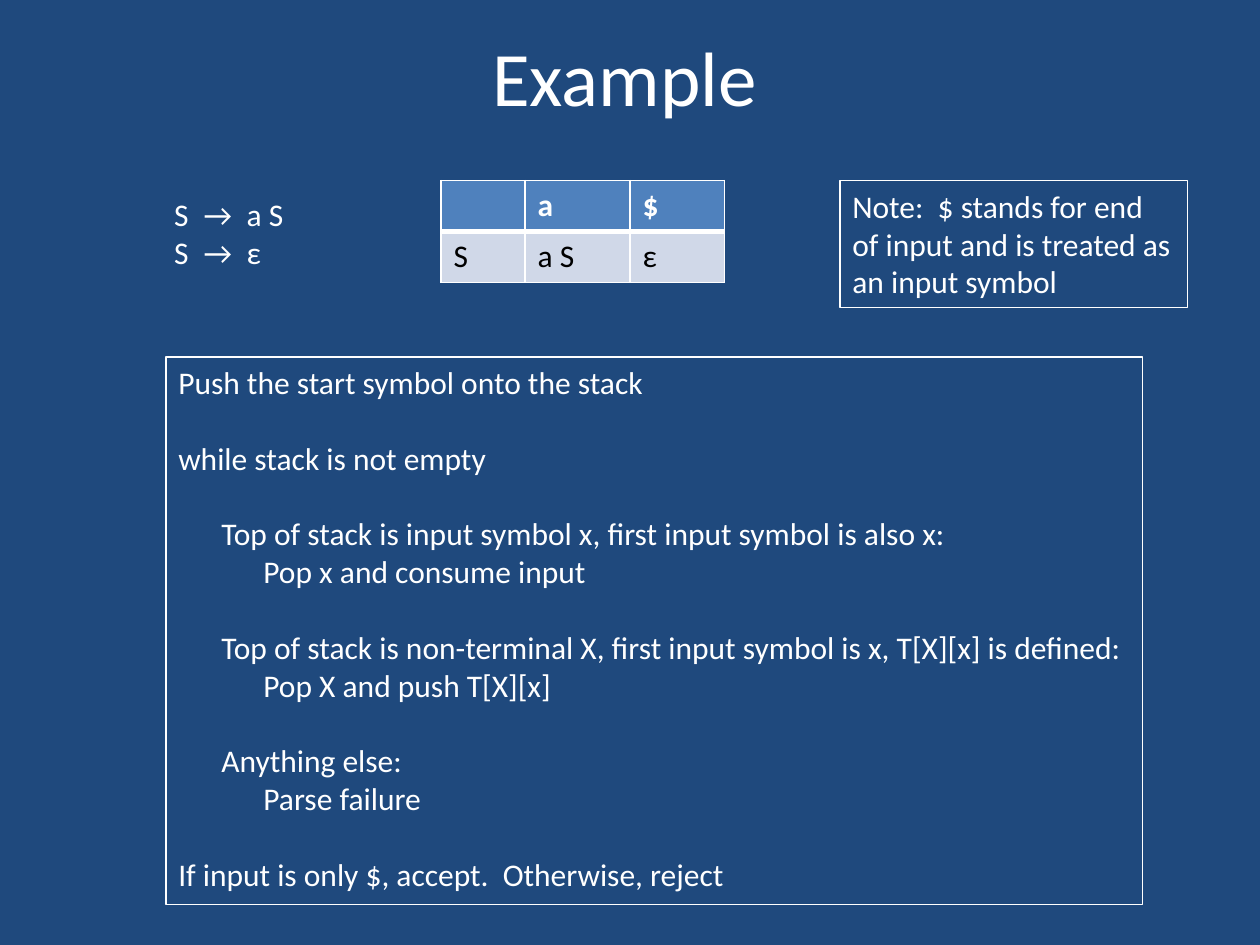
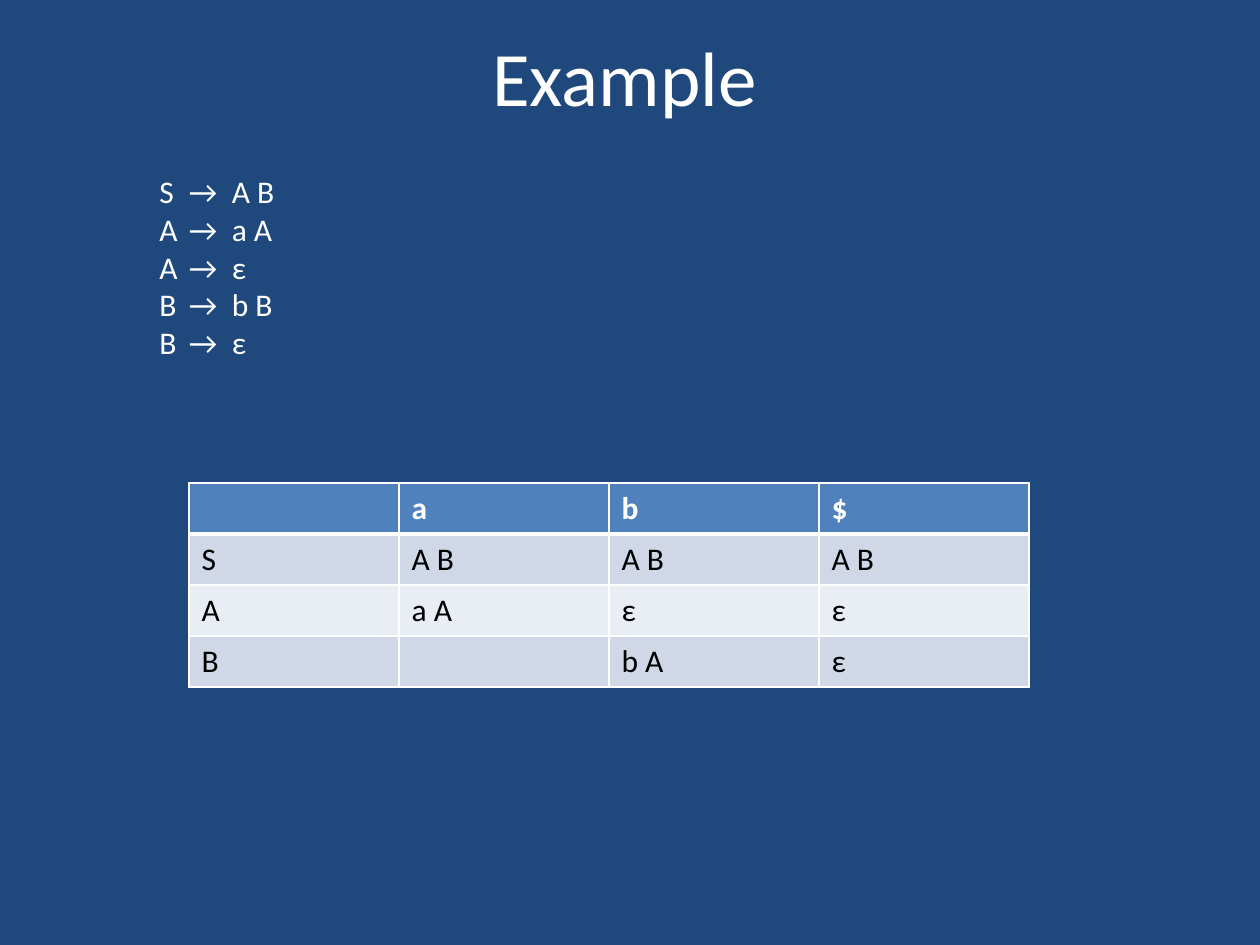
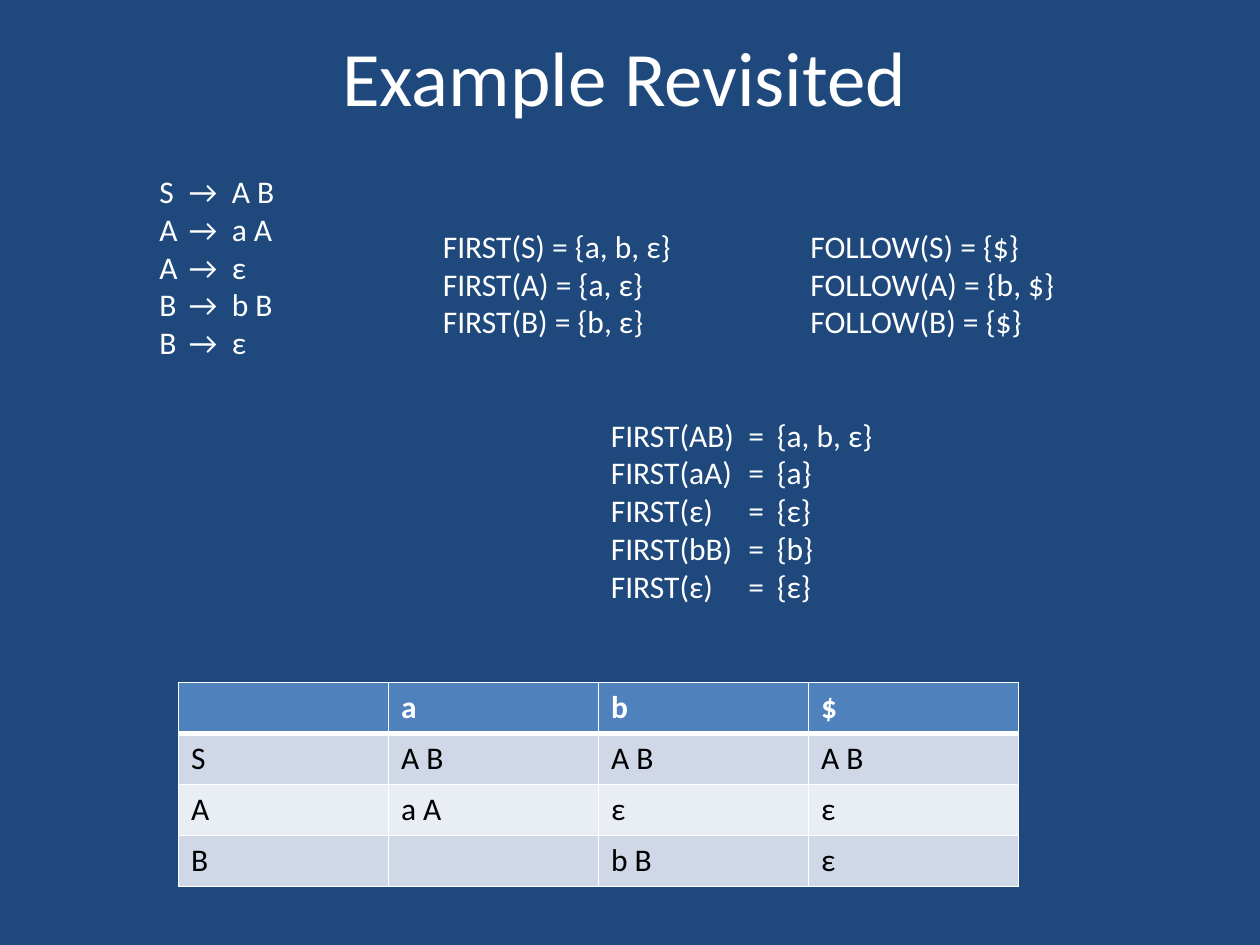
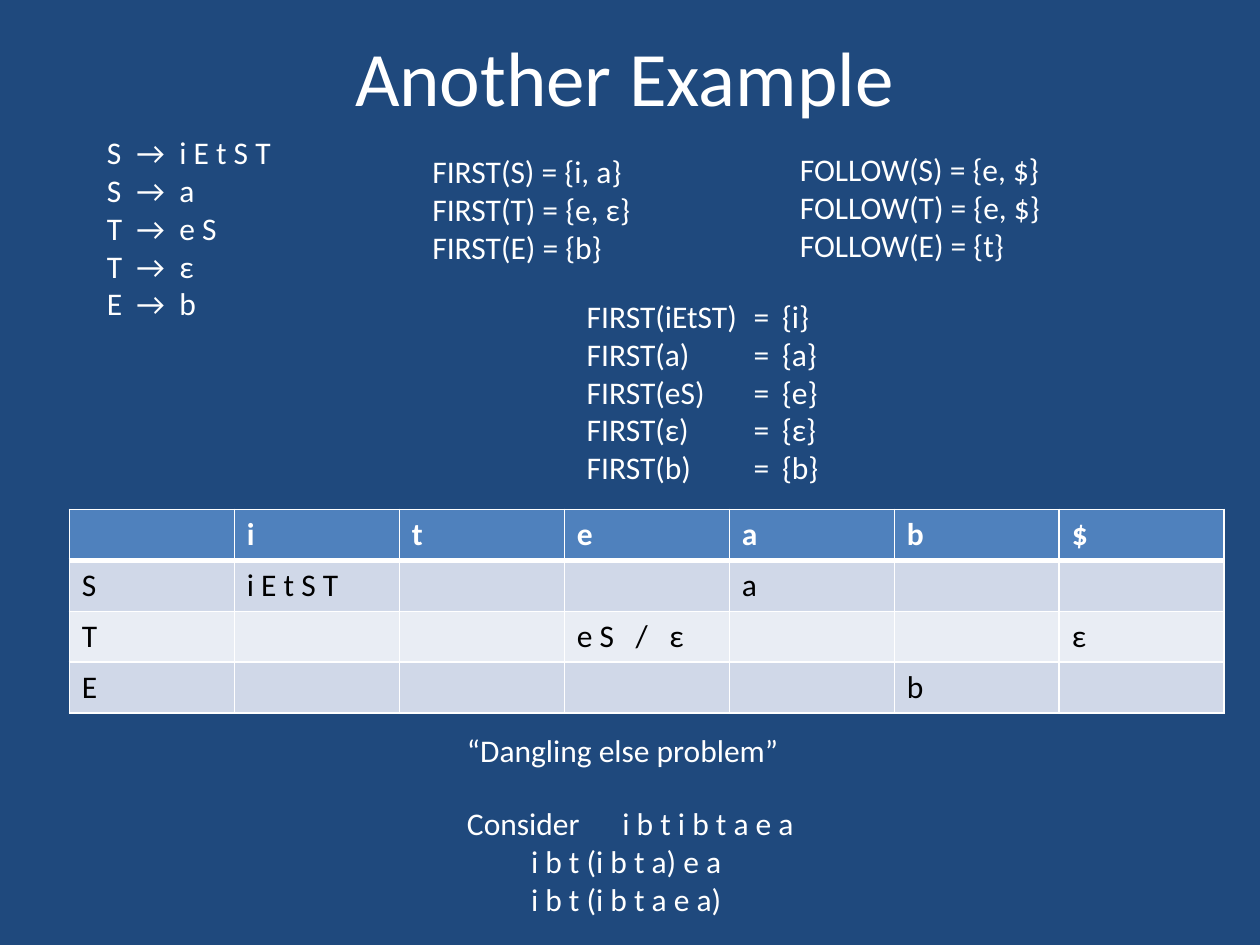
"""Build four slides on predictive parsing with LL(1) tables."""
import dataclasses

import lxml.etree
import pptx
import pptx.dml.color
import pptx.enum.shapes
import pptx.enum.text
import pptx.oxml.ns
import pptx.util


@dataclasses.dataclass(frozen=True)
class Theme:
    background: str = "1F497D"
    ink: str = "FFFFFF"
    cell_ink: str = "000000"
    header: str = "4F81BD"
    bands: tuple = ("D0D8E8", "E9EDF4")
    font: str = "Calibri"
    title_size: int = 44
    body_size: int = 18
    line_step: float = 21.6
    frame: float = 0.75
    rule: int = 1
    header_rule: int = 3


THEME = Theme()
SLIDE_WIDTH, SLIDE_HEIGHT = pptx.util.Inches(10), pptx.util.Inches(7.5)
COLUMNS = 120
UNIT = SLIDE_WIDTH / COLUMNS
LINE_ROWS, PADDING_ROWS, TABLE_ROW = 3.64, 1.2, 4.86
TITLE_AREA = (2, -2.4, 115, 19.3)

RULE_TABS = (2.8, 6.9)
SHORT_TABS = (13.1, 15.8)
LONG_TABS = (15.9, 18.6)
CHOICE_TABS = (5.6, 8.8)
STEP, SUBSTEP, PARSE_INDENT = 4.1, 8.1, 6.1

AB_GRAMMAR = {
    "lines": ["S\t→\tA B", "A\t→\ta A", "A\t→\tε", "B\t→\tb B", "B\t→\tε"],
    "place": (14, 15.8, 23), "tabs": RULE_TABS,
}


def ab_table(place, last_rule):
    return {
        "place": place, "columns": [20] * 4,
        "rows": [["", "a", "b", "$"], ["S", "A B", "A B", "A B"],
                 ["A", "a A", "ε", "ε"], ["B", "", last_rule, "ε"]],
    }


SLIDES = [
    {
        "title": "Example",
        "table": {"place": (42, 17.2), "columns": [8, 10, 9],
                  "rows": [["", "a", "$"], ["S", "a S", "ε"]]},
        "texts": [
            {"lines": ["S\t→\ta S", "S\t→\tε"], "place": (15.4, 18, 86), "tabs": RULE_TABS},
            {"lines": [
                "Push the start symbol onto the stack",
                ("while stack is not empty", 0, 1),
                ("Top of stack is input symbol x, first input symbol is also x:", STEP, 1),
                ("Pop x and consume input", SUBSTEP, 0),
                ("Top of stack is non-terminal X, first input symbol is x, T[X][x] is defined:",
                 STEP, 1),
                ("Pop X and push T[X][x]", SUBSTEP, 0),
                ("Anything else:", STEP, 1),
                ("Parse failure", SUBSTEP, 0),
                ("If input is only $, accept.  Otherwise, reject", 0, 1),
            ], "place": (15.8, 34, 93), "framed": True},
            {"lines": ["Note:  $ stands for end", "of input and is treated as",
                       "an input symbol"], "place": (80, 17.2, 33.1), "framed": True},
        ],
    },
    {
        "title": "Example",
        "table": ab_table((18, 46), "b A"),
        "texts": [AB_GRAMMAR],
    },
    {
        "title": "Example Revisited",
        "table": ab_table((17, 65), "b B"),
        "texts": [
            AB_GRAMMAR,
            {"lines": ["FIRST(S) = {a, b, ε}", "FIRST(A) = {a, ε}", "FIRST(B) = {b, ε}"],
             "place": (41, 21, 24.4)},
            {"lines": ["FOLLOW(S) = {$}", "FOLLOW(A) = {b, $}", "FOLLOW(B) = {$}"],
             "place": (76, 21, 25.9)},
            {"lines": ["FIRST(AB)\t=\t{a, b, ε}", "FIRST(aA)\t=\t{a}", "FIRST(ε)\t=\t{ε}",
                       "FIRST(bB)\t=\t{b}", "FIRST(ε)\t=\t{ε}"],
             "place": (57, 39, 27.7), "tabs": SHORT_TABS},
        ],
    },
    {
        "title": "Another Example",
        "table": {
            "place": (6.6, 48.5), "columns": [110 / 7] * 7, "tabs": CHOICE_TABS,
            "rows": [["", "i", "t", "e", "a", "b", "$"],
                     ["S", "i E t S T", "", "", "a", "", ""],
                     ["T", "", "", "e S\t/\tε", "", "", "ε"],
                     ["E", "", "", "", "", "b", ""]],
        },
        "texts": [
            {"lines": ["S\t→\ti E t S T", "S\t→\ta", "T\t→\te S", "T\t→\tε", "E\t→\tb"],
             "place": (9, 12.1, 23), "tabs": RULE_TABS},
            {"lines": ["“Dangling else problem”"], "place": (43.3, 69, 32.4)},
            {"lines": ["Consider\ti b t i b t a e a",
                       ("i b t (i b t a) e a", PARSE_INDENT, 0),
                       ("i b t (i b t a e a)", PARSE_INDENT, 0)],
             "place": (43.3, 76, 34.1), "tabs": (14.8,)},
            {"lines": ["FIRST(S) = {i, a}", "FIRST(T) = {e, ε}", "FIRST(E) = {b}"],
             "place": (40, 13.9, 21.6)},
            {"lines": ["FOLLOW(S) = {e, $}", "FOLLOW(T) = {e, $}", "FOLLOW(E) = {t}"],
             "place": (75, 13.7, 25.9)},
            {"lines": ["FIRST(iEtST)\t=\t{i}", "FIRST(a)\t=\t{a}", "FIRST(eS)\t=\t{e}",
                       "FIRST(ε)\t=\t{ε}", "FIRST(b)\t=\t{b}"],
             "place": (54.7, 27.7, 25.1), "tabs": LONG_TABS},
        ],
    },
]


def grid(*lengths):
    return [round(length * UNIT) for length in lengths]


def rgb(code):
    return pptx.dml.color.RGBColor.from_string(code)


def apply(target, formats):
    for attribute, value in formats.items():
        setattr(target, attribute, value)


def write(paragraph, text, size=THEME.body_size, ink=THEME.ink, bold=False, tabs=()):
    if not text:
        return
    run = paragraph.add_run()
    run.text = text
    apply(run.font, {"name": THEME.font, "size": pptx.util.Pt(size), "bold": bold})
    run.font.color.rgb = rgb(ink)
    if "\t" in text:
        stops = lxml.etree.SubElement(paragraph._p.get_or_add_pPr(), pptx.oxml.ns.qn("a:tabLst"))
        for position in grid(*tabs):
            lxml.etree.SubElement(stops, pptx.oxml.ns.qn("a:tab"), pos=str(position), algn="l")


def add_title(slide, title):
    frame = slide.shapes.add_textbox(*grid(*TITLE_AREA)).text_frame
    apply(frame, {"word_wrap": True, "vertical_anchor": pptx.enum.text.MSO_ANCHOR.MIDDLE})
    heading = frame.paragraphs[0]
    heading.alignment = pptx.enum.text.PP_ALIGN.CENTER
    write(heading, title, THEME.title_size)


def add_text(slide, lines, place, tabs=(), framed=False):
    lines = [(line, 0, 0) if isinstance(line, str) else line for line in lines]
    line_count = len(lines) + sum(gap for _, _, gap in lines)
    area = grid(*place, PADDING_ROWS + LINE_ROWS * line_count)
    if framed:
        box = slide.shapes.add_shape(pptx.enum.shapes.MSO_SHAPE.RECTANGLE, *area)
        box.shadow.inherit = False
        box.fill.background()
        box.line.color.rgb = rgb(THEME.ink)
        box.line.width = pptx.util.Pt(THEME.frame)
    else:
        box = slide.shapes.add_textbox(*area)
    frame = box.text_frame
    apply(frame, {"word_wrap": True, "vertical_anchor": pptx.enum.text.MSO_ANCHOR.TOP})
    for index, (text, indent, gap) in enumerate(lines):
        paragraph = frame.add_paragraph() if index else frame.paragraphs[0]
        apply(paragraph, {"alignment": pptx.enum.text.PP_ALIGN.LEFT,
                          "space_before": pptx.util.Pt(gap * THEME.line_step)})
        paragraph._p.get_or_add_pPr().set("marL", str(grid(indent)[0]))
        write(paragraph, text, tabs=tabs)


def add_borders(cell, widths):
    properties = cell._tc.get_or_add_tcPr()
    for order, (side, width) in enumerate(widths.items()):
        edge = lxml.etree.Element(pptx.oxml.ns.qn("a:ln" + side), w=str(pptx.util.Pt(width)))
        paint = lxml.etree.SubElement(edge, pptx.oxml.ns.qn("a:solidFill"))
        lxml.etree.SubElement(paint, pptx.oxml.ns.qn("a:srgbClr"), val=THEME.ink)
        properties.insert(order, edge)


def add_parse_table(slide, place, columns, rows, tabs=()):
    area = grid(*place, sum(columns), TABLE_ROW * len(rows))
    table = slide.shapes.add_table(len(rows), len(columns), *area).table
    apply(table, {"first_row": False, "horz_banding": False})
    for column, width in zip(table.columns, grid(*columns)):
        column.width = width
    for r, row in enumerate(rows):
        table.rows[r].height = grid(TABLE_ROW)[0]
        header = r == 0
        for c, text in enumerate(row):
            cell = table.cell(r, c)
            cell.fill.solid()
            cell.fill.fore_color.rgb = rgb(THEME.header if header else THEME.bands[(r - 1) % 2])
            widths = {"L": THEME.rule, "R": THEME.rule,
                      "T": THEME.header_rule if r == 1 else THEME.rule,
                      "B": THEME.header_rule if header else THEME.rule}
            add_borders(cell, widths)
            write(cell.text_frame.paragraphs[0], text,
                  ink=THEME.ink if header else THEME.cell_ink, bold=header, tabs=tabs)


deck = pptx.Presentation()
apply(deck, {"slide_width": SLIDE_WIDTH, "slide_height": SLIDE_HEIGHT})
backdrop = deck.slide_master.background.fill
backdrop.solid()
backdrop.fore_color.rgb = rgb(THEME.background)
for content in SLIDES:
    slide = deck.slides.add_slide(deck.slide_layouts[6])
    add_title(slide, content["title"])
    add_parse_table(slide, **content["table"])
    for passage in content["texts"]:
        add_text(slide, **passage)
deck.save("out.pptx")
